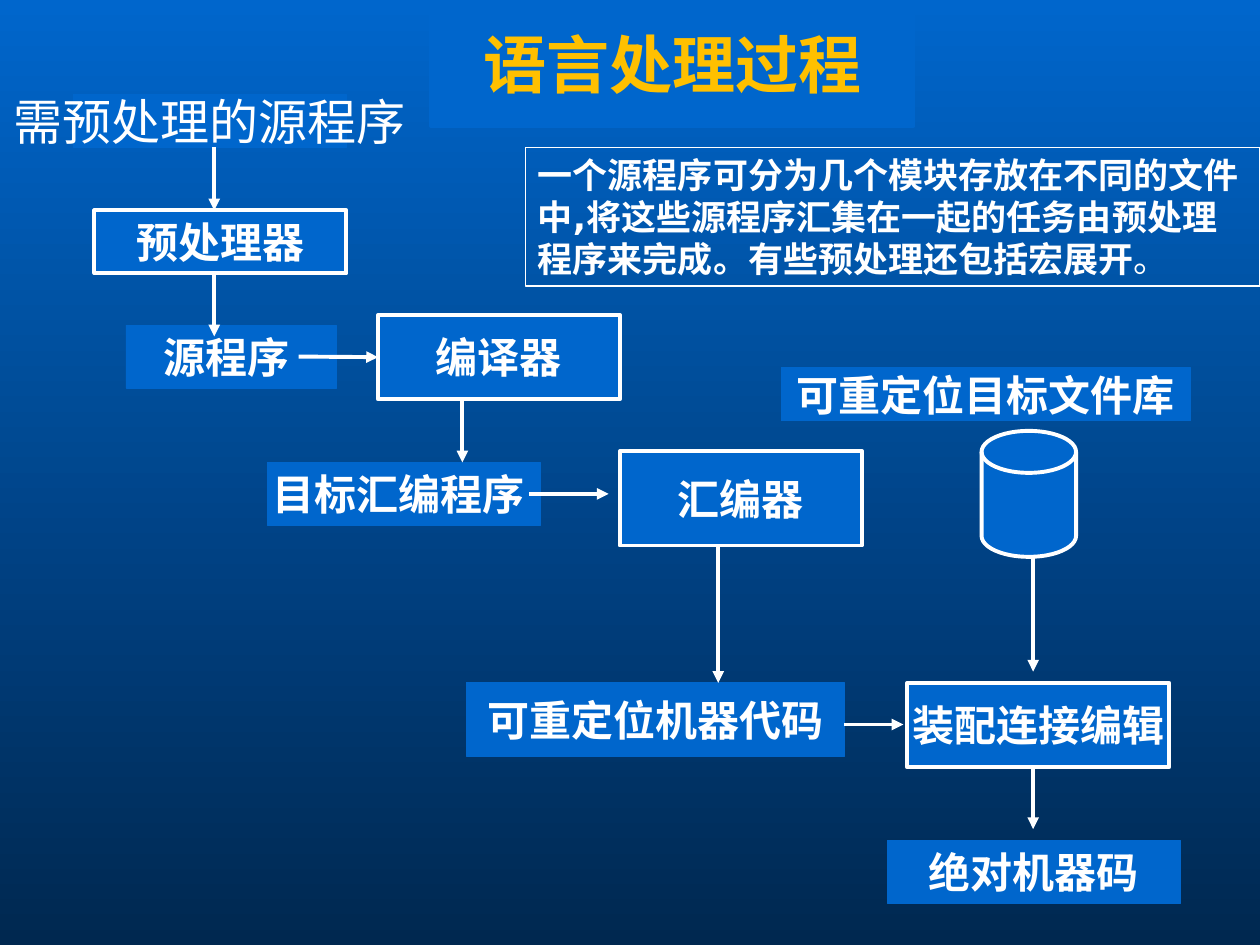
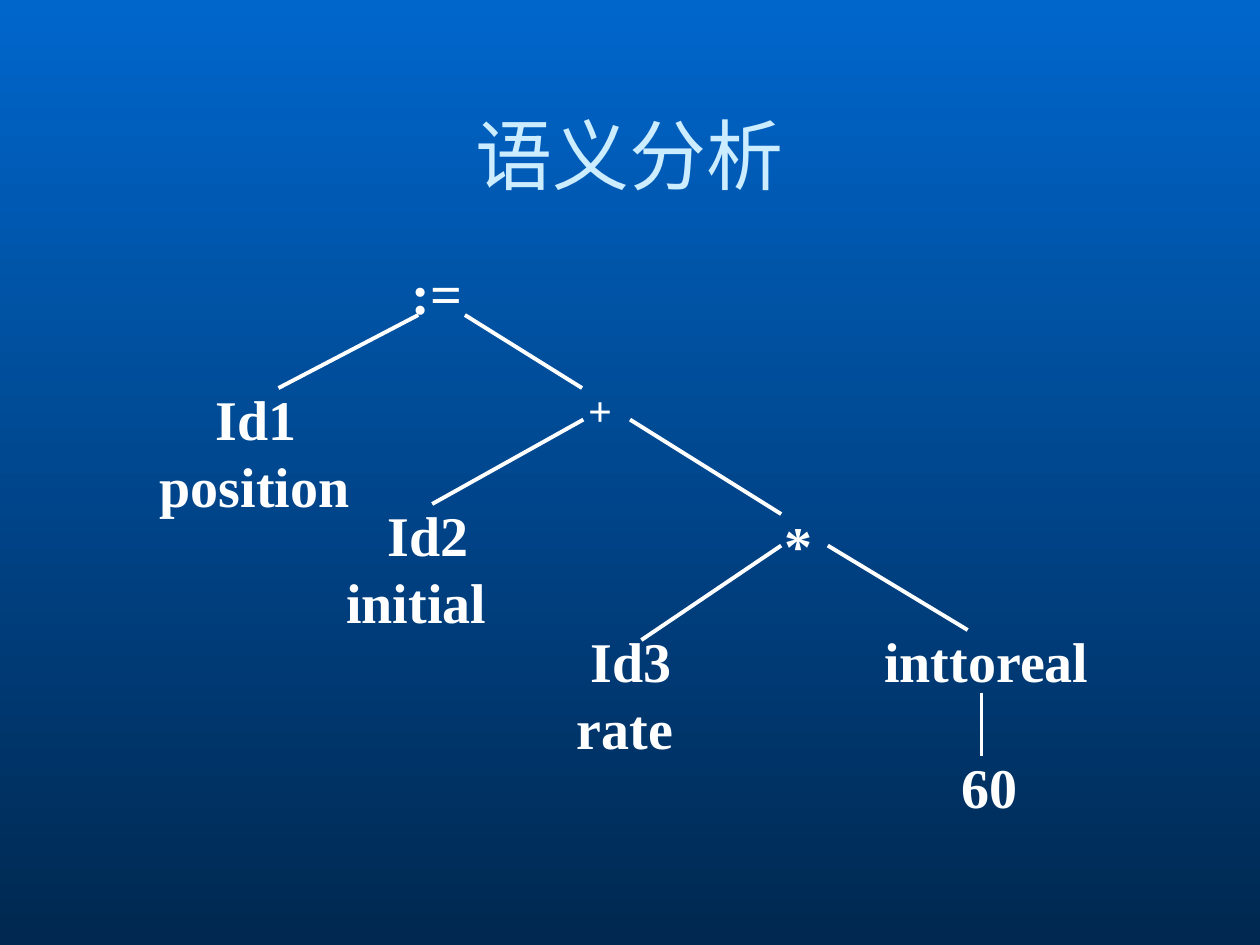
from lxml import etree
from pptx import Presentation
from pptx.dml.color import RGBColor
from pptx.enum.shapes import MSO_CONNECTOR, MSO_SHAPE
from pptx.enum.text import MSO_ANCHOR, MSO_AUTO_SIZE, PP_ALIGN
from pptx.oxml.ns import qn
from pptx.util import Inches, Pt

RECT, DISK = MSO_SHAPE.RECTANGLE, MSO_SHAPE.FLOWCHART_MAGNETIC_DISK
STRAIGHT = MSO_CONNECTOR.STRAIGHT
LEFT, CENTER = PP_ALIGN.LEFT, PP_ALIGN.CENTER
TOP, MIDDLE = MSO_ANCHOR.TOP, MSO_ANCHOR.MIDDLE
NO_AUTOFIT = MSO_AUTO_SIZE.NONE

BLUE, NAVY, WHITE, GOLD, PALE = "0066CC", "002850", "FFFFFF", "FFC000", "CCECFF"
SERIF, SANS, TITLE_SANS = "Times New Roman", "DejaVu Sans", "Arial"
LEFT_SIDE = 1


def rgb(hex_colour):
    return RGBColor.from_string(hex_colour)


def write(shape, *runs, size=24, font=SERIF, colour=WHITE, bold=True, align=CENTER,
          anchor=MIDDLE, wrap=False, indent=0, right_inset=0.1):
    """Fill the shape with one paragraph; a run is a text or a (text, bold) pair."""
    frame = shape.text_frame
    frame.auto_size = NO_AUTOFIT
    frame.word_wrap = wrap
    frame.vertical_anchor = anchor
    frame.margin_right = Inches(right_inset)
    paragraph = frame.paragraphs[0]
    paragraph.alignment = align
    paragraph.line_spacing = Pt(size * 1.2)
    if indent:
        paragraph._p.get_or_add_pPr().set("indent", str(Inches(indent)))
    for item in runs:
        text, run_bold = item if isinstance(item, tuple) else (item, bold)
        run = paragraph.add_run()
        run.text = text
        run.font.size, run.font.name, run.font.bold = Pt(size), font, run_bold
        run.font.color.rgb = rgb(colour)
        east_asian = etree.SubElement(run._r.rPr, qn("a:ea"))
        east_asian.set("typeface", SANS)


class Deck:
    def __init__(self):
        self.prs = Presentation()
        self.prs.slide_width, self.prs.slide_height = Inches(10), Inches(7.5)
        self.slide = None
        backdrop = self.prs.slide_master.background.fill
        backdrop.gradient()
        backdrop.gradient_angle = 270
        for stop, colour in zip(backdrop.gradient_stops, (BLUE, NAVY)):
            stop.color.rgb = rgb(colour)

    def new_slide(self, title, place, fill=None, **text_format):
        self.slide = self.prs.slides.add_slide(self.prs.slide_layouts[5])
        heading = self.slide.shapes.title
        heading.left, heading.top, heading.width, heading.height = map(Inches, place)
        if fill:
            heading.fill.solid()
            heading.fill.fore_color.rgb = rgb(fill)
            heading.line.color.rgb = rgb(fill)
            heading.line.width = Pt(2.25)
        write(heading, title, **text_format)

    def shape(self, place, kind=RECT, fill=BLUE, line=WHITE, width=2.25):
        shape = self.slide.shapes.add_shape(kind, *map(Inches, place))
        shape.shadow.inherit = False
        if fill:
            shape.fill.solid()
            shape.fill.fore_color.rgb = rgb(fill)
        else:
            shape.fill.background()
        shape.line.color.rgb = rgb(line)
        shape.line.width = Pt(width)
        return shape

    def processor(self, text, place):
        box = self.shape(place)
        write(box, text)
        return box

    def artifact(self, text, place, **text_format):
        write(self.shape(place, line=BLUE, width=0.5), text, **text_format)

    def label(self, text, place, **text_format):
        box = self.slide.shapes.add_textbox(*map(Inches, place))
        write(box, text, align=LEFT, anchor=TOP, wrap=True, **text_format)

    def line(self, start, end, arrow=False):
        line = self.slide.shapes.add_connector(STRAIGHT, *map(Inches, start + end))
        line.line.color.rgb = rgb(WHITE)
        line.line.width = Pt(2.25)
        if arrow:
            etree.SubElement(line.line._get_or_add_ln(), qn("a:tailEnd"), type="triangle")
        etree.SubElement(line._element.spPr, qn("a:effectLst"))
        return line


def language_processing(deck):
    deck.new_slide("语言处理过程", (3.42, 0, 3.83, 1), fill=BLUE, size=36, colour=GOLD)

    deck.processor("预处理器", (0.75, 1.67, 2, 0.5))
    compiler = deck.processor("编译器", (3, 2.5, 1.92, 0.67))
    deck.processor("汇编器", (4.92, 3.58, 1.92, 0.75))
    deck.processor("装配连接编辑", (7.2, 5.42, 2.08, 0.67))

    deck.artifact("需预处理的源程序", (0.58, 0.75, 2.17, 0.42), size=28, font=SANS, bold=False)
    deck.artifact("源程序", (1, 2.58, 1.67, 0.5), right_inset=0.18)
    deck.artifact("目标汇编程序", (2.12, 3.67, 2.17, 0.5), right_inset=0.18)
    deck.artifact("可重定位机器代码", (3.7, 5.42, 3, 0.58))
    deck.artifact("绝对机器码", (7.04, 6.67, 2.33, 0.5))
    deck.artifact("可重定位目标文件库", (6.2, 2.92, 3.25, 0.42))
    deck.shape((7.79, 3.42, 0.75, 1), kind=DISK)

    for x, top, bottom in ((1.7, 1.17, 1.67), (1.7, 2.17, 2.67), (3.67, 3.17, 3.67),
                           (5.7, 4.33, 5.42), (8.2, 4.42, 5.33), (8.2, 6.08, 6.58)):
        deck.line((x, top), (x, bottom), arrow=True)
    deck.line((4.2, 3.92), (4.83, 3.92), arrow=True)
    deck.line((6.7, 5.75), (7.17, 5.75), arrow=True)
    to_compiler = deck.line((2.37, 2.83), (3, 2.83), arrow=True)
    to_compiler.end_connect(compiler, LEFT_SIDE)

    note = deck.shape((4.17, 1.17, 5.83, 1.1), fill=None, width=0.75)
    write(note, "一个源程序可分为几个模块存放在不同的文件中,将这些源程序汇集在一起的任务由"
          "预处理程序来完成。有些预处理还包括宏展开", ("。", False),
          size=20, font=SANS, align=LEFT, anchor=TOP, wrap=True)


def semantic_analysis(deck):
    deck.new_slide("语义分析", (0.5, 0.89, 9, 0.66), size=44, font=TITLE_SANS,
                   colour=PALE, bold=False)

    deck.label(":=", (3.17, 2, 0.74, 0.64), size=32)
    deck.label("+", (4.57, 3, 0.74, 0.5))
    deck.label("*", (6.13, 4, 0.74, 0.64), size=32)
    deck.label("inttoreal", (6.92, 4.92, 1.83, 0.64), size=32)
    deck.label("60", (7.53, 5.92, 0.7, 0.64), size=32)
    for identifier, left, top, width, indent in (("Id1 position", 1.17, 3, 1.84, 0.44),
                                                 ("Id2 initial", 2.65, 3.92, 1.38, 0.33),
                                                 ("Id3 rate", 4.48, 4.92, 1.01, 0.11)):
        deck.label(identifier, (left, top, width, 1.17), size=32, indent=indent)

    for parent, child in (((3.32, 2.5), (2.21, 3.08)), ((3.69, 2.5), (4.62, 3.08)),
                          ((4.63, 3.33), (3.43, 4)), ((5, 3.33), (6.2, 4.08)),
                          ((6.2, 4.33), (5.09, 5.08)), ((6.57, 4.33), (7.68, 5)),
                          ((7.79, 5.5), (7.79, 6))):
        deck.line(parent, child)


def main():
    deck = Deck()
    language_processing(deck)
    semantic_analysis(deck)
    deck.prs.save("out.pptx")


if __name__ == "__main__":
    main()
